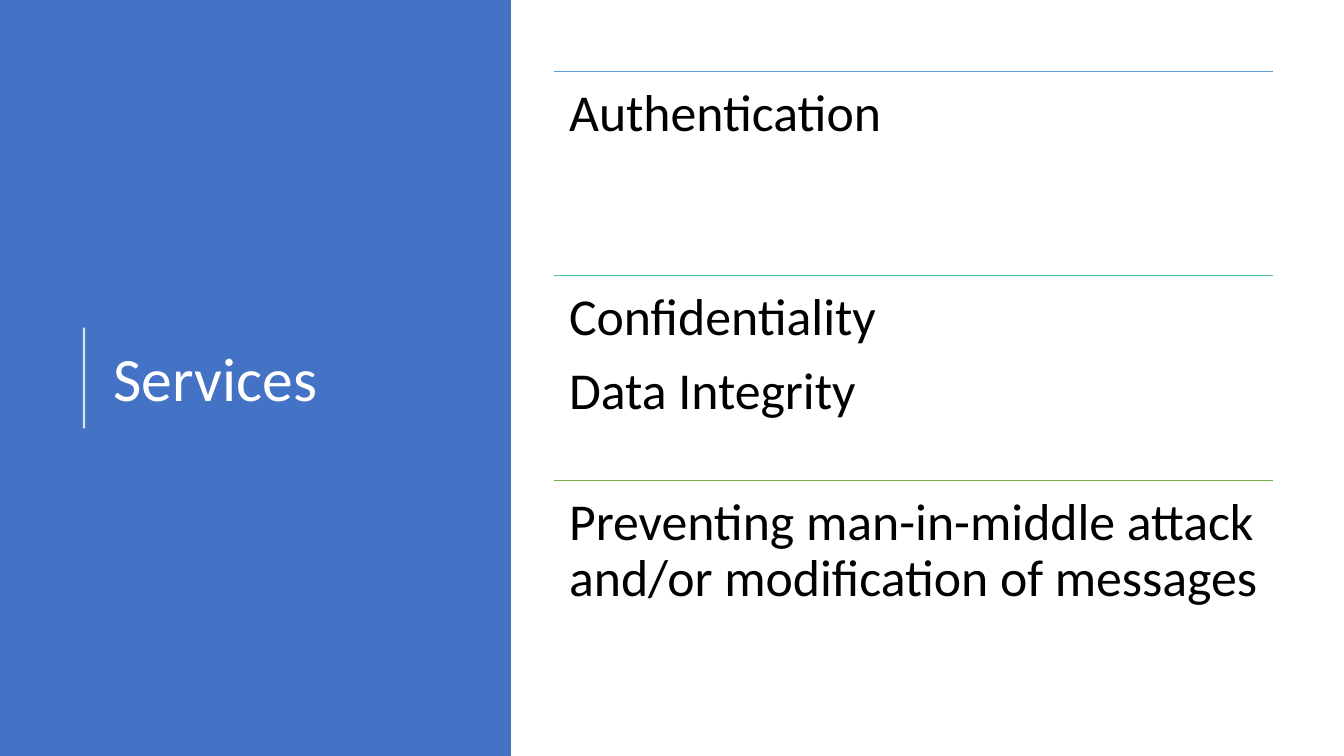
from lxml.etree import SubElement
from pptx import Presentation
from pptx.dml.color import RGBColor
from pptx.enum.shapes import MSO_CONNECTOR, MSO_SHAPE
from pptx.enum.text import MSO_ANCHOR, MSO_AUTO_SIZE, PP_ALIGN
from pptx.oxml.ns import qn
from pptx.util import Pt

THEME = {
    "font": "Calibri",
    "panel": RGBColor.from_string("4472C4"),
    "light": RGBColor.from_string("FFFFFF"),
    "dark": RGBColor.from_string("000000"),
    "title_size": Pt(44),
    "body_size": Pt(37),
}
SERVICES = [
    ("5B9BD5", ["Authentication"]),
    ("4DC58D", ["Confidentiality", "Data Integrity"]),
    ("70AD47", ["Preventing man-in-middle attack and/or modification of messages"]),
]


def set_attributes(target, values):
    for name, value in values.items():
        setattr(target, name, value)


def add_line(slide, start, end, color, width):
    line = slide.shapes.add_connector(MSO_CONNECTOR.STRAIGHT, *start, *end)
    line.line.color.rgb = color
    line.line.width = width
    SubElement(line.element.spPr, qn("a:effectLst"))
    return line


# Slide
presentation = Presentation()
set_attributes(presentation, {"slide_width": Pt(960), "slide_height": Pt(540)})
slide = presentation.slides.add_slide(presentation.slide_layouts[5])
title = slide.shapes.title

# Blue panel and accent line, placed behind the title
panel = slide.shapes.add_shape(MSO_SHAPE.RECTANGLE, 0, 0, Pt(365), Pt(540))
panel.shadow.inherit = False
panel.fill.solid()
panel.fill.fore_color.rgb = THEME["panel"]
panel.line.fill.background()
accent = add_line(slide, (Pt(60), Pt(306)), (Pt(60), Pt(234)), THEME["light"], Pt(1.5))
accent_color = accent.element.spPr.find(".//" + qn("a:srgbClr"))
SubElement(accent_color, qn("a:alpha"), val="80000")
for shape in (panel, accent):
    title.element.addprevious(shape.element)

# Title
set_attributes(title, {"left": Pt(74), "top": Pt(56), "width": Pt(266), "height": Pt(433.5)})
title.text = "Services"
set_attributes(title.text_frame, {
    "vertical_anchor": MSO_ANCHOR.MIDDLE, "auto_size": MSO_AUTO_SIZE.NONE, "word_wrap": True,
})
paragraph = title.text_frame.paragraphs[0]
set_attributes(paragraph, {"alignment": PP_ALIGN.LEFT, "line_spacing": 0.9})
set_attributes(paragraph.font, {"name": THEME["font"], "size": THEME["title_size"]})
paragraph.font.color.rgb = THEME["light"]

# Ruled list of services
left, top, width, row_height = Pt(395.5), Pt(51), Pt(514), Pt(146)
for index, (rule_color, lines) in enumerate(SERVICES):
    row_top = top + index * row_height
    add_line(slide, (left, row_top), (left + width, row_top),
             RGBColor.from_string(rule_color), Pt(0.5))
    box = slide.shapes.add_textbox(left, row_top, width, row_height)
    frame = box.text_frame
    margins = ("margin_left", "margin_top", "margin_right", "margin_bottom")
    set_attributes(frame, dict.fromkeys(margins, Pt(11)))
    set_attributes(frame, {"word_wrap": True, "vertical_anchor": MSO_ANCHOR.TOP})
    frame.text = "\n".join(lines)
    for paragraph in frame.paragraphs:
        set_attributes(paragraph, {"line_spacing": 0.9, "space_after": Pt(12.5)})
        set_attributes(paragraph.font, {"name": THEME["font"], "size": THEME["body_size"]})
        paragraph.font.color.rgb = THEME["dark"]

presentation.save("out.pptx")
